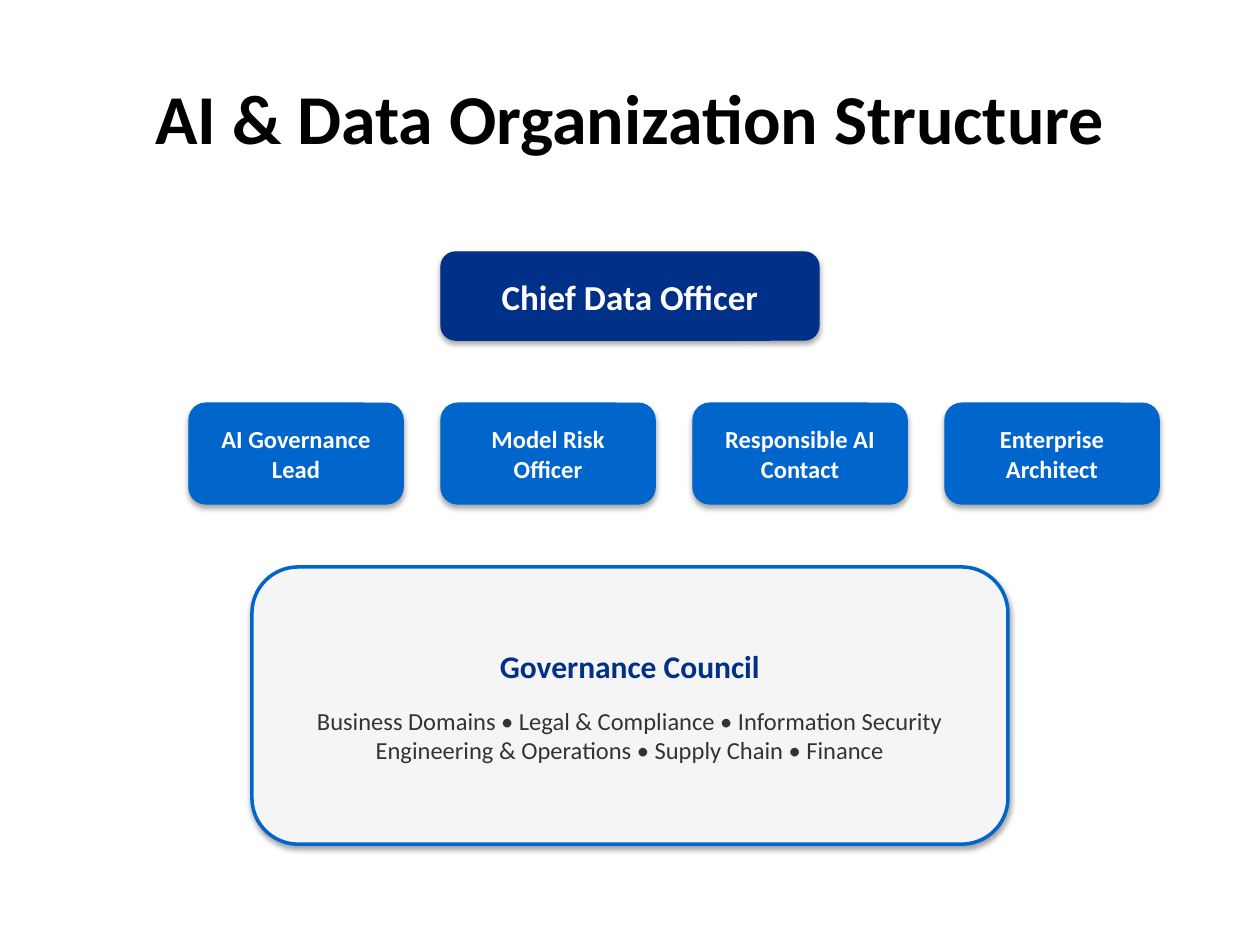
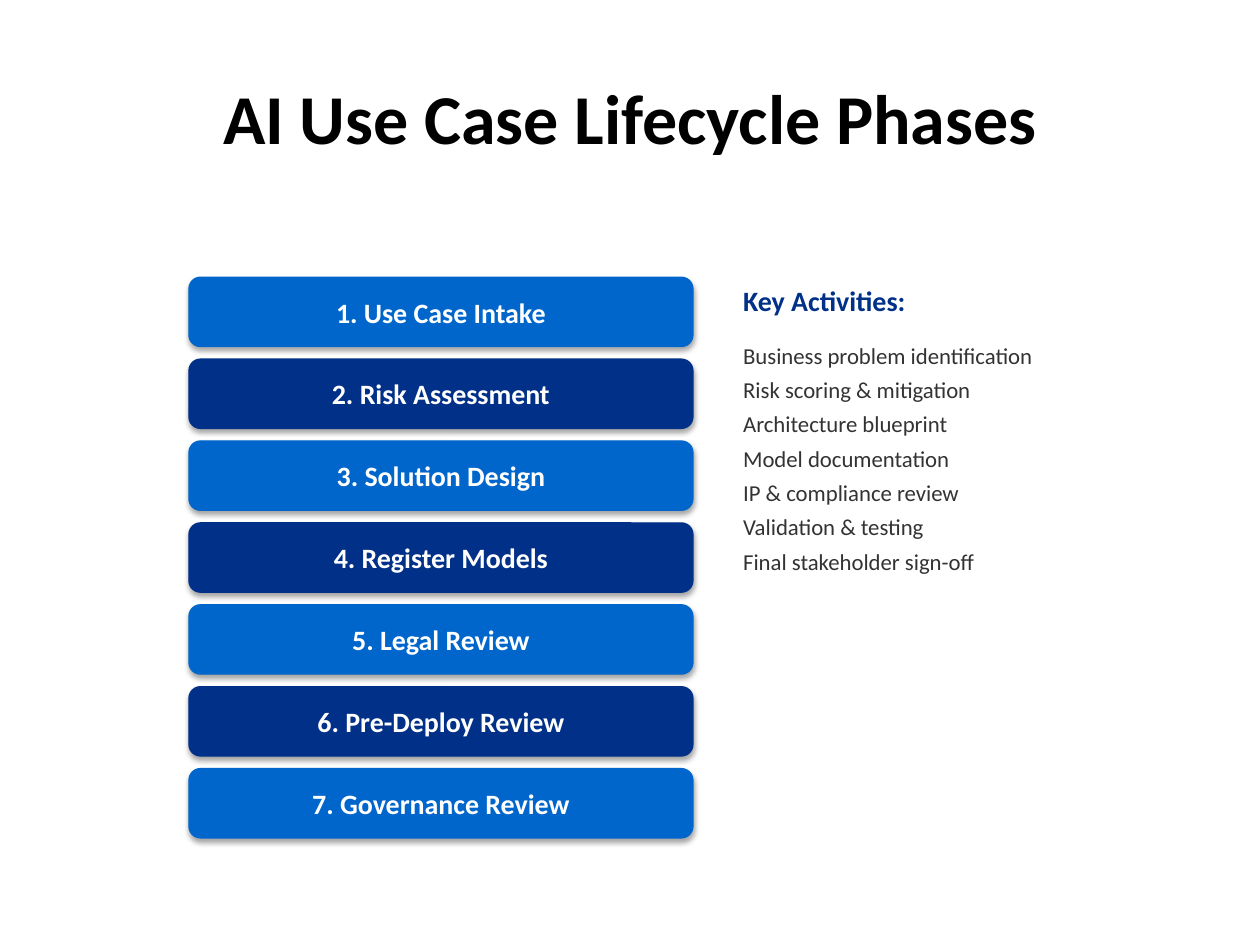
import pptx
import pptx.util
import pptx.dml.color
import pptx.enum.shapes
import pptx.enum.text

Inches = pptx.util.Inches
Pt = pptx.util.Pt
ALIGN = pptx.enum.text.PP_ALIGN
ANCHOR = pptx.enum.text.MSO_ANCHOR

FONT = "Calibri"
COLORS = {
    "navy": "003087",
    "blue": "0066CC",
    "panel": "F5F5F5",
    "body": "333333",
    "title": "000000",
    "white": "FFFFFF",
}

ROLES = [
    "AI Governance\nLead",
    "Model Risk\nOfficer",
    "Responsible AI\nContact",
    "Enterprise\nArchitect",
]
COUNCIL_MEMBERS = [
    "Business Domains • Legal & Compliance • Information Security",
    "Engineering & Operations • Supply Chain • Finance",
]
PHASES = [
    "Use Case Intake",
    "Risk Assessment",
    "Solution Design",
    "Register Models",
    "Legal Review",
    "Pre-Deploy Review",
    "Governance Review",
]
ACTIVITIES = [
    "Business problem identification",
    "Risk scoring & mitigation",
    "Architecture blueprint",
    "Model documentation",
    "IP & compliance review",
    "Validation & testing",
    "Final stakeholder sign-off",
]


def rgb(color):
    return pptx.dml.color.RGBColor.from_string(COLORS[color])


def write(paragraph, text, size, color, bold=False, align=ALIGN.CENTER):
    """Fill a paragraph, turning each newline into a line break."""
    paragraph.alignment = align
    for number, line in enumerate(text.split("\n")):
        if number:
            paragraph.add_line_break()
        run = paragraph.add_run()
        run.text = line
        run.font.name = FONT
        run.font.size = Pt(size)
        run.font.bold = bold
        run.font.color.rgb = rgb(color)


def add_text_frame(slide, left, top, width, height):
    box = slide.shapes.add_textbox(
        Inches(left), Inches(top), Inches(width), Inches(height))
    box.text_frame.word_wrap = True
    return box.text_frame


def add_card(slide, left, top, width, height, fill, outline, line_width=0.75):
    """Add a rounded card with the theme's soft shadow; return its text frame."""
    card = slide.shapes.add_shape(
        pptx.enum.shapes.MSO_SHAPE.ROUNDED_RECTANGLE,
        Inches(left), Inches(top), Inches(width), Inches(height))
    card.fill.solid()
    card.fill.fore_color.rgb = rgb(fill)
    card.line.color.rgb = rgb(outline)
    card.line.width = Pt(line_width)
    frame = card.text_frame
    frame.word_wrap = True
    frame.vertical_anchor = ANCHOR.MIDDLE
    return frame


def add_label_card(slide, left, top, width, height, text, size, color):
    frame = add_card(slide, left, top, width, height, color, color)
    write(frame.paragraphs[0], text, size, "white", bold=True)


def add_titled_slide(deck, title):
    slide = deck.slides.add_slide(deck.slide_layouts[6])
    frame = add_text_frame(slide, 0.5, 0.3, 9, 1.25)
    frame.vertical_anchor = ANCHOR.MIDDLE
    write(frame.paragraphs[0], title, 40, "title", bold=True)
    return slide


def add_role_row(slide, left, top, width, height, gap=0.3):
    card_width = (width - gap * (len(ROLES) - 1)) / len(ROLES)
    for column, role in enumerate(ROLES):
        add_label_card(slide, left + column * (card_width + gap), top,
                       card_width, height, role, 14, "blue")


def add_council(slide, left, top, width, height):
    frame = add_card(slide, left, top, width, height, "panel", "blue", 2)
    heading = frame.paragraphs[0]
    heading.space_after = Pt(12)
    write(heading, "Governance Council", 18, "navy", bold=True)
    for members in COUNCIL_MEMBERS:
        write(frame.add_paragraph(), members, 14, "body")


def add_phase_stack(slide, left, top, width, height, gap=0.1):
    card_height = (height - gap * (len(PHASES) - 1)) / len(PHASES)
    for row, phase in enumerate(PHASES):
        add_label_card(slide, left, top + row * (card_height + gap),
                       width, card_height, f"{row + 1}. {phase}", 16,
                       ("blue", "navy")[row % 2])


def add_activities(slide, left, top, width, height):
    frame = add_text_frame(slide, left, top, width, height)
    frame.auto_size = pptx.enum.text.MSO_AUTO_SIZE.SHAPE_TO_FIT_TEXT
    heading = frame.paragraphs[0]
    heading.space_after = Pt(10)
    write(heading, "Key Activities:", 16, "navy", True, ALIGN.LEFT)
    for activity in ACTIVITIES:
        entry = frame.add_paragraph()
        entry.space_before = Pt(4)
        write(entry, activity, 13, "body", align=ALIGN.LEFT)


def add_organization_slide(deck):
    slide = add_titled_slide(deck, "AI & Data Organization Structure")
    add_label_card(slide, 3.5, 2, 3, 0.7, "Chief Data Officer", 20, "navy")
    add_role_row(slide, 1.5, 3.2, 7.7, 0.8)
    add_council(slide, 2, 4.5, 6, 2.2)


def add_lifecycle_slide(deck):
    slide = add_titled_slide(deck, "AI Use Case Lifecycle Phases")
    add_phase_stack(slide, 1.5, 2.2, 4, 4.45)
    add_activities(slide, 5.8, 2.2, 3.7, 2.36)


def main():
    deck = pptx.Presentation()
    deck.slide_width = Inches(10)
    deck.slide_height = Inches(7.5)
    add_organization_slide(deck)
    add_lifecycle_slide(deck)
    deck.save("out.pptx")


if __name__ == "__main__":
    main()
